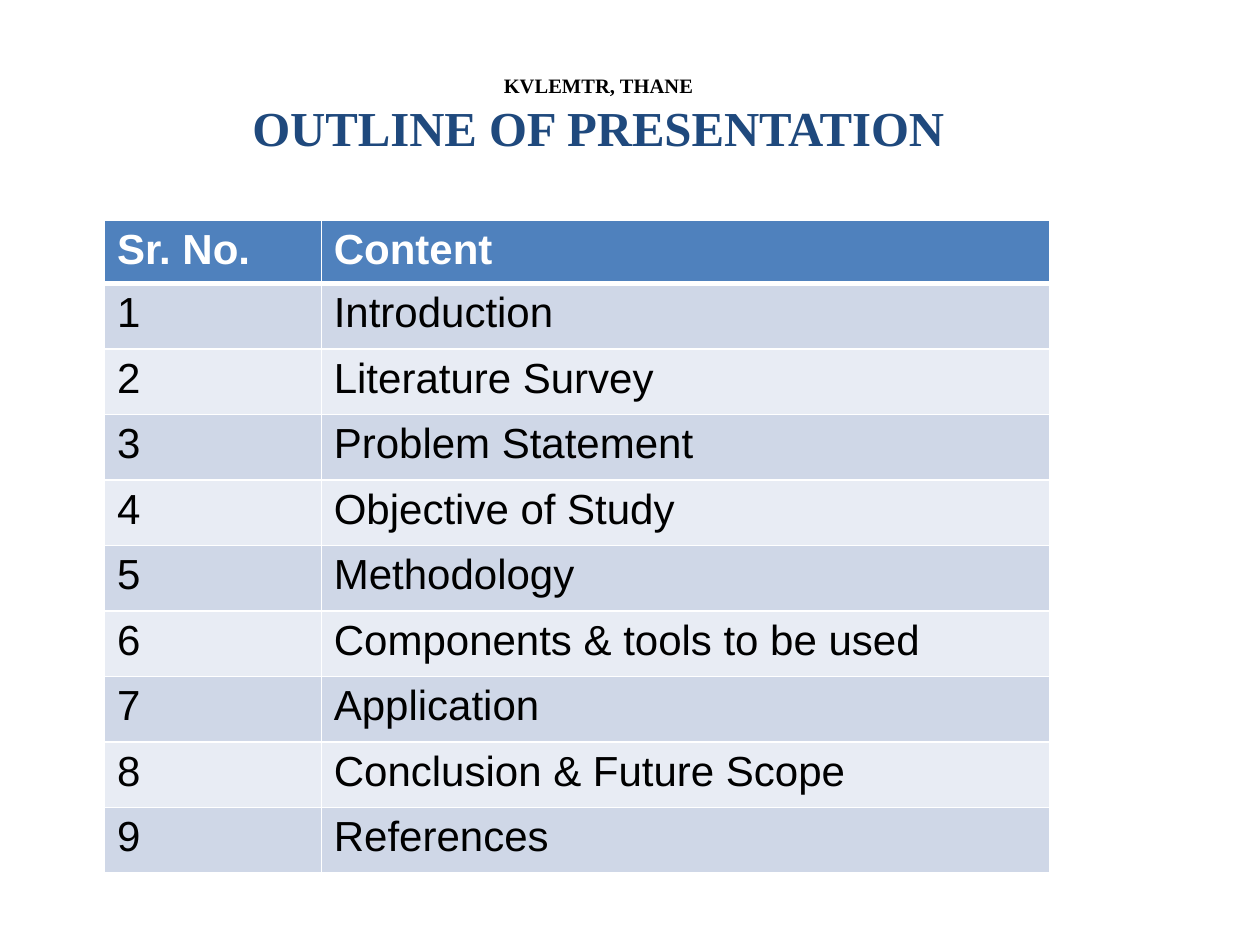
from dataclasses import dataclass

from lxml import etree
from pptx import Presentation, util as u
from pptx.dml.color import RGBColor
from pptx.enum import text
from pptx.oxml import ns


@dataclass(frozen=True)
class Theme:
    """Colours, fonts and type sizes of the deck."""
    title_font: str = "Times New Roman"
    body_font: str = "Arial"
    ink: str = "000000"
    heading: str = "1F497D"
    paper: str = "FFFFFF"
    header_fill: str = "4F81BD"
    bands: tuple = ("CFD7E7", "E8ECF4")
    institute_size: float = 11.7
    heading_size: float = 27.9
    table_size: float = 24


class OutlineSlide:
    """Draws titles and tables on one slide in one theme."""

    def __init__(self, slide, theme):
        self.slide, self.theme = slide, theme

    def style(self, paragraph, font, size, color, bold):
        """Format every run of a paragraph."""
        for run in paragraph.runs:
            run.font.name, run.font.size, run.font.bold = font, u.Pt(size), bold
            run.font.color.rgb = RGBColor.from_string(color)

    def title(self, left, top, width, height, lines):
        """Add centred bold lines, each given as wording, size and colour."""
        box = self.slide.shapes.add_textbox(*map(u.Inches, (left, top, width, height)))
        frame = box.text_frame
        frame.word_wrap = True
        frame.margin_top = 0
        frame.text = "\n".join(wording for wording, _, _ in lines)
        for paragraph, (_, size, color) in zip(frame.paragraphs, lines):
            paragraph.alignment = text.PP_ALIGN.CENTER
            self.style(paragraph, self.theme.title_font, size, color, True)

    def borders(self, cell, **widths):
        """Rule the sides of a cell, with widths in points."""
        props = cell._tc.get_or_add_tcPr()
        for position, (side, width) in enumerate(widths.items()):
            line = etree.Element(ns.qn(f"a:ln{side}"), w=str(u.Pt(width)))
            fill = etree.SubElement(line, ns.qn("a:solidFill"))
            etree.SubElement(fill, ns.qn("a:srgbClr"), val=self.theme.paper)
            props.insert(position, line)

    def table(self, left, top, widths, heights, rows):
        """Add a banded table whose first row is the header."""
        theme = self.theme
        frame = self.slide.shapes.add_table(
            len(rows), len(widths), u.Inches(left), u.Inches(top),
            u.Inches(sum(widths)), u.Inches(sum(heights)))
        grid = frame.table
        for column, width in zip(grid.columns, widths):
            column.width = u.Inches(width)
        for index, (row, height, entries) in enumerate(zip(grid.rows, heights, rows)):
            row.height = u.Inches(height)
            header = index == 0
            fill = theme.header_fill if header else theme.bands[(index - 1) % 2]
            for cell, entry in zip(row.cells, entries):
                cell.text_frame.text = entry
                self.style(cell.text_frame.paragraphs[0], theme.body_font, theme.table_size,
                           theme.paper if header else theme.ink, header)
                cell.fill.solid()
                cell.fill.fore_color.rgb = RGBColor.from_string(fill)
                self.borders(cell, L=1, R=1, T=3 if index == 1 else 1, B=3 if header else 1)


def main():
    """Build the outline slide."""
    deck = Presentation()
    deck.slide_width, deck.slide_height = u.Inches(10), u.Inches(7.5)
    theme = Theme()
    outline = OutlineSlide(deck.slides.add_slide(deck.slide_layouts[6]), theme)
    outline.title(0.25, 0.58, 9, 1, [
        ("KVLEMTR, THANE", theme.institute_size, theme.ink),
        ("OUTLINE OF PRESENTATION", theme.heading_size, theme.heading),
    ])
    topics = ["Introduction", "Literature Survey", "Problem Statement",
              "Objective of Study", "Methodology", "Components & tools to be used",
              "Application", "Conclusion & Future Scope", "References"]
    rows = [("Sr. No.", "Content")]
    rows += [(str(number), topic) for number, topic in enumerate(topics, 1)]
    outline.table(0.83, 1.75, [1.72, 5.78], [0.49] + [0.52] * len(topics), rows)
    deck.save("out.pptx")


if __name__ == "__main__":
    main()
